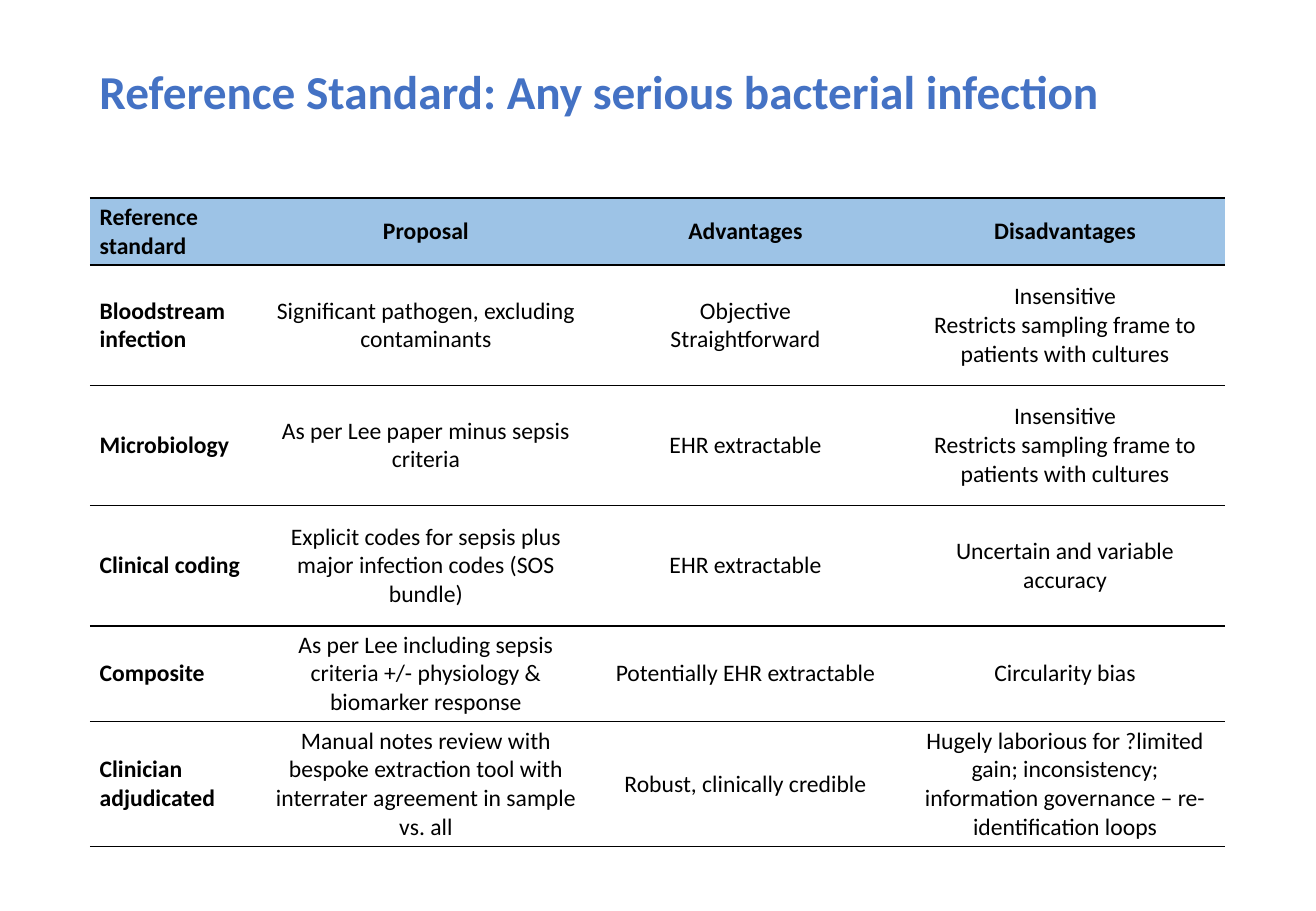
from lxml.etree import SubElement
from pptx import Presentation
from pptx.dml.color import RGBColor
from pptx.enum.text import MSO_ANCHOR, PP_ALIGN
from pptx.oxml.ns import qn
from pptx.util import Pt

PX = 9144
FONT = "Calibri"
BLACK = RGBColor(0, 0, 0)
BLUE = RGBColor(0x44, 0x72, 0xC4)
SKY = RGBColor(0x9D, 0xC3, 0xE6)
PLAIN = "{2D5ABB26-0587-4C30-8999-92F81FD0307C}"

COLS = [145, 263, 263, 263]
ROWS = [55, 99, 99, 99, 79, 102]
CULTURE = "Insensitive\nRestricts sampling frame to patients with cultures"
CELLS = [
    ["Reference standard", "Proposal", "Advantages", "Disadvantages"],
    ["Bloodstream infection", "Significant pathogen, excluding contaminants",
     "Objective\nStraightforward", CULTURE],
    ["Microbiology", "As per Lee paper minus sepsis criteria",
     "EHR extractable", CULTURE],
    ["Clinical coding",
     "Explicit codes for sepsis plus major infection codes (SOS bundle)",
     "EHR extractable", "Uncertain and variable accuracy"],
    ["Composite",
     "As per Lee including sepsis criteria +/- physiology & biomarker response",
     "Potentially EHR extractable", "Circularity bias"],
    ["Clinician adjudicated",
     "Manual notes review with bespoke extraction tool with interrater "
     "agreement in sample vs. all",
     "Robust, clinically credible",
     "Hugely laborious for ?limited gain; inconsistency; "
     "information governance – re-identification loops"],
]


def add_run(para, text, size, color, bold):
    run = para.add_run()
    run.text = text
    font = run.font
    font.name, font.size, font.bold = FONT, Pt(size), bold
    font.color.rgb = color


def add_rule(cell, side):
    line = SubElement(cell._tc.get_or_add_tcPr(), qn(f"a:{side}"), w=str(Pt(1)))
    fill = SubElement(line, qn("a:solidFill"))
    SubElement(fill, qn("a:srgbClr"), val=str(BLACK))


def fill_cell(cell, text, head, first):
    cell.vertical_anchor = MSO_ANCHOR.MIDDLE
    cell.margin_left = cell.margin_right = 8 * PX
    cell.margin_top = cell.margin_bottom = 4 * PX
    for side in ("lnT", "lnB"):
        add_rule(cell, side)
    if head:
        cell.fill.solid()
        cell.fill.fore_color.rgb = SKY
    else:
        cell.fill.background()
    frame = cell.text_frame
    for i, part in enumerate(text.split("\n")):
        para = frame.add_paragraph() if i else frame.paragraphs[0]
        para.alignment = PP_ALIGN.LEFT if first else PP_ALIGN.CENTER
        add_run(para, part, 14, BLACK, head or first)


def add_title(slide, left, top, width, height):
    box = slide.shapes.add_textbox(left * PX, top * PX, width * PX, height * PX)
    frame = box.text_frame
    frame.word_wrap = True
    frame.vertical_anchor = MSO_ANCHOR.MIDDLE
    para = frame.paragraphs[0]
    para.line_spacing = 0.9
    add_run(para, "Reference Standard: Any serious bacterial infection",
            28, BLUE, True)


def add_grid(slide, left, top):
    table = slide.shapes.add_table(
        len(ROWS), len(COLS), left * PX, top * PX,
        sum(COLS) * PX, sum(ROWS) * PX).table
    table.first_row = table.horz_banding = False
    table._tbl.tblPr.find(qn("a:tableStyleId")).text = PLAIN
    for col, width in zip(table.columns, COLS):
        col.width = width * PX
    for r, (row, height) in enumerate(zip(table.rows, ROWS)):
        row.height = height * PX
        for c, cell in enumerate(row.cells):
            fill_cell(cell, CELLS[r][c], r == 0, c == 0)


def main():
    deck = Presentation()
    deck.slide_width, deck.slide_height = 1083 * PX, 750 * PX
    slide = deck.slides.add_slide(deck.slide_layouts[6])
    add_grid(slide, 74, 163)
    add_title(slide, 72, 22, 934, 111)
    deck.save("out.pptx")


if __name__ == "__main__":
    main()
